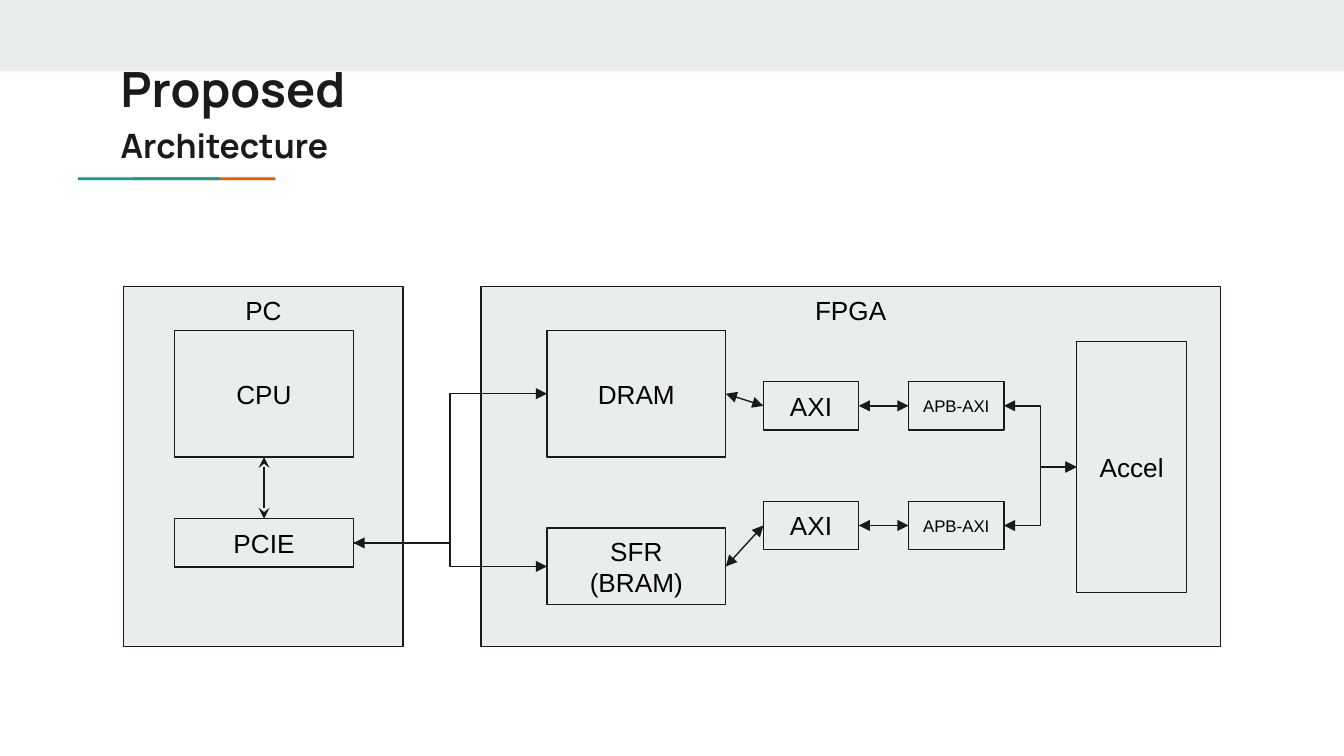
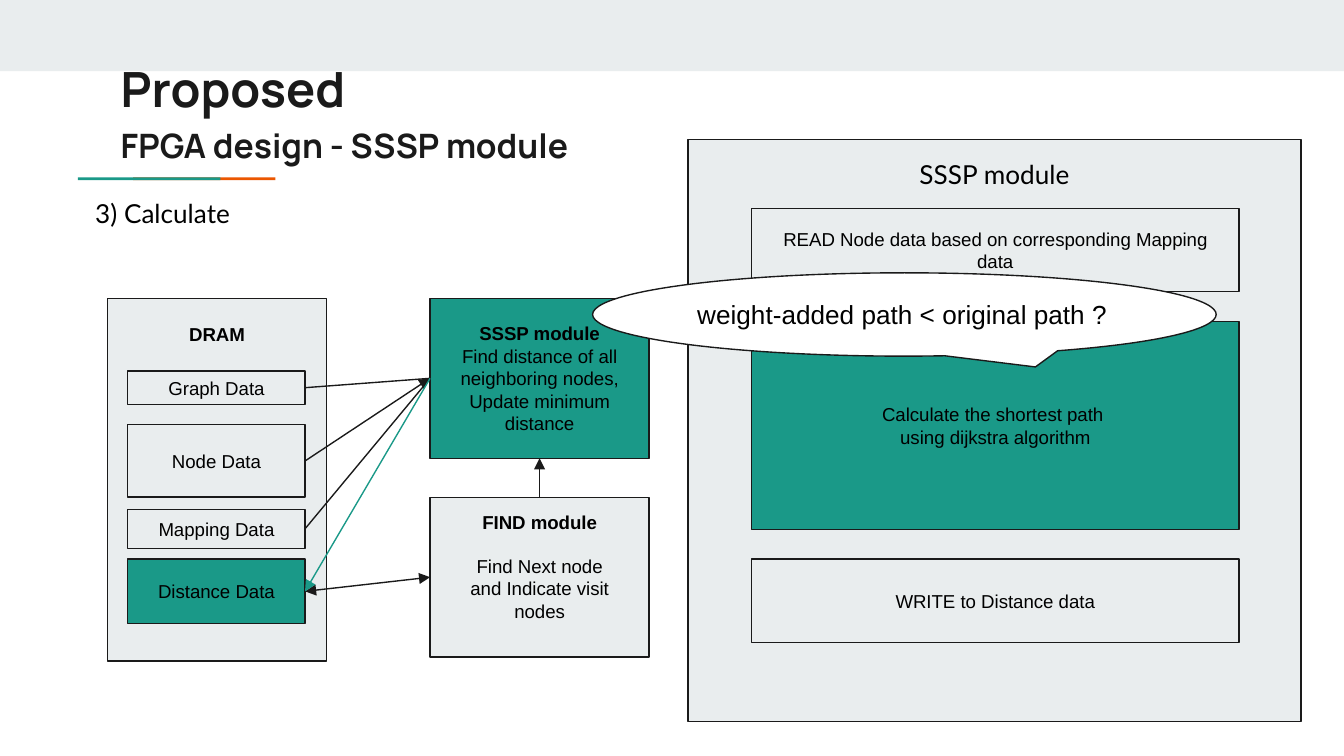
from lxml import etree
from pptx import Presentation, util as u
from pptx.dml import color
from pptx.enum import shapes, text
from pptx.oxml import ns

Inches = u.Inches
COLORS = {"pale": "E9EDEE", "ink": "1A1A1A", "teal": "1A9988",
          "orange": "EB5600", "white": "FFFFFF", "black": "000000"}
MIDDLE, TOP = text.MSO_ANCHOR.MIDDLE, text.MSO_ANCHOR.TOP
CENTER, LEFT = text.PP_ALIGN.CENTER, text.PP_ALIGN.LEFT
SIDES = {"top": 0, "left": 1, "bottom": 2, "right": 3}
TITLE = {"size": 26, "name": "Manrope", "bold": True, "color": "ink"}
SUBTITLE = {**TITLE, "size": 18}
HEADING = {"size": 14, "name": "Lato"}

# Architecture: panels are (name, box, top inset, font), blocks are (name, lines, box, size)
ARCH_PANELS = [
    ("PC", (0.92, 2.13, 2.08, 2.68), 0.06, {"size": 14}),
    ("FPGA", (3.58, 2.13, 5.5, 2.68), 0.06, {"size": 14}),
]
ARCH_BLOCKS = [
    ("CPU", ["CPU"], (1.3, 2.46, 1.33, 0.94), 14),
    ("PCIE", ["PCIE"], (1.3, 3.86, 1.33, 0.36), 14),
    ("DRAM", ["DRAM"], (4.07, 2.46, 1.33, 0.94), 14),
    ("SFR", ["SFR", "(BRAM)"], (4.07, 3.93, 1.33, 0.57), 14),
    ("Accel", ["Accel"], (8.01, 2.54, 0.82, 1.87), 14),
]
BUS_ROWS = [("DRAM", 2.84), ("SFR", 3.73)]
BUS_COLUMNS = [("AXI", 5.68, 14), ("APB-AXI", 6.76, 9)]
BUS_SIZE = (0.71, 0.36)

# SSSP design
SSSP_PANELS = [
    ("DRAM", (0.8, 2.22, 1.63, 2.7), 0.18, {"size": 10, "bold": True}),
    ("SSSP module", (5.12, 1.04, 4.56, 4.33), 0.14, HEADING),
]
DATA_LEFT, DATA_WIDTH = 0.95, 1.32
DATA_BLOCKS = [  # name, top, height, fill
    ("Graph Data", 2.76, 0.25, "pale"),
    ("Node Data", 3.16, 0.54, "pale"),
    ("Mapping Data", 3.79, 0.29, "pale"),
    ("Distance Data", 4.16, 0.48, "teal"),
]
STEP_LEFT, STEP_WIDTH = 5.59, 3.63
STEPS = [  # lines, top, height, fill
    (["READ Node data based on corresponding Mapping data"], 1.55, 0.62, "pale"),
    (["Calculate the shortest path ", "using dijkstra algorithm"], 2.39, 1.55, "teal"),
    (["WRITE to Distance data"], 4.16, 0.62, "pale"),
]
MODULES = [  # name, lines, top, fill, anchor, gap below the name in points
    ("SSSP module", ["Find distance of all neighboring nodes,", "Update minimum distance"],
     2.22, "teal", MIDDLE, 0),
    ("FIND module", ["Find Next node", "and Indicate visit nodes"], 3.7, "pale", TOP, 11.5),
]


def rgb(name):
    return color.RGBColor.from_string(COLORS[name])


def write(shape, lines, fonts, align=LEFT, anchor=TOP, top_inset=0.1):
    """Fill a shape with paragraphs; fonts holds one format dict per line."""
    frame = shape.text_frame
    settings = {"word_wrap": True, "vertical_anchor": anchor, "margin_top": Inches(top_inset)}
    settings.update({f"margin_{side}": Inches(0.1) for side in ("left", "right", "bottom")})
    for name, value in settings.items():
        setattr(frame, name, value)
    for index, (line, font) in enumerate(zip(lines, fonts)):
        paragraph = frame.paragraphs[0] if index == 0 else frame.add_paragraph()
        paragraph.alignment = align
        run = paragraph.add_run()
        run.text = line
        values = {"name": "Arial", "bold": False, "color": "black", **font}
        run.font.color.rgb = rgb(values.pop("color"))
        values["size"] = u.Pt(values["size"])
        for name, value in values.items():
            setattr(run.font, name, value)


def add_text(slide, box, line, font):
    write(slide.shapes.add_textbox(*map(Inches, box)), [line], [font])


def add_block(slide, box, fill="pale", line="ink", kind=shapes.MSO_SHAPE.RECTANGLE):
    shape = slide.shapes.add_shape(kind, *map(Inches, box))
    shape.shadow.inherit = False
    shape.fill.solid()
    shape.fill.fore_color.rgb = rgb(fill)
    if line:
        shape.line.color.rgb = rgb(line)
        shape.line.width = u.Pt(0.75)
    else:
        shape.line.fill.background()
    return shape


def add_label_block(slide, box, lines, size, fill="pale"):
    shape = add_block(slide, box, fill)
    write(shape, lines, [{"size": size}] * len(lines), CENTER, MIDDLE)
    return shape


def add_panels(slide, panels):
    for name, box, top_inset, font in panels:
        write(add_block(slide, box), [name], [font], CENTER, TOP, top_inset)


def connect(slide, start, start_side, end, end_side, head=None, tail="triangle",
            line="ink", kind=shapes.MSO_CONNECTOR.STRAIGHT):
    connector = slide.shapes.add_connector(kind, 0, 0, 0, 0)
    connector.begin_connect(start, SIDES[start_side])
    connector.end_connect(end, SIDES[end_side])
    connector.line.color.rgb = rgb(line)
    connector.line.width = u.Pt(0.75)
    outline = connector.line._get_or_add_ln()
    for tag, arrow in (("a:headEnd", head), ("a:tailEnd", tail)):
        if arrow:
            etree.SubElement(outline, ns.qn(tag), type=arrow)
    etree.SubElement(connector._element.spPr, ns.qn("a:effectLst"))


def add_slide(presentation, subtitle):
    """Blank slide with the top band, two-colour rule and titles."""
    slide = presentation.slides.add_slide(presentation.slide_layouts[6])
    add_block(slide, (0, 0, 10, 0.53), "pale", None)
    for left, fill in ((0.99, "orange"), (0.58, "teal")):
        add_block(slide, (left, 1.32, 1.06, 0.02), fill, None)
    add_text(slide, (0.8, 0.34, 8.41, 0.62), "Proposed", TITLE)
    add_text(slide, (0.8, 0.83, 8.41, 0.7), subtitle, SUBTITLE)
    return slide


def build_architecture(presentation):
    slide = add_slide(presentation, "Architecture")
    add_panels(slide, ARCH_PANELS)
    blocks = {name: add_label_block(slide, box, lines, size)
              for name, lines, box, size in ARCH_BLOCKS}
    elbow = shapes.MSO_CONNECTOR.ELBOW

    # Host links
    connect(slide, blocks["CPU"], "bottom", blocks["PCIE"], "top", "stealth", "stealth")
    for memory, head in (("DRAM", None), ("SFR", "triangle")):
        connect(slide, blocks["PCIE"], "right", blocks[memory], "left", head, kind=elbow)

    # One bus row from each memory to the accelerator
    for memory, top in BUS_ROWS:
        previous = blocks[memory]
        for name, left, size in BUS_COLUMNS:
            block = add_label_block(slide, (left, top, *BUS_SIZE), [name], size)
            connect(slide, previous, "right", block, "left", "triangle")
            previous = block
        connect(slide, previous, "right", blocks["Accel"], "left", "triangle", kind=elbow)


def build_sssp(presentation):
    slide = add_slide(presentation, "FPGA design - SSSP module")
    add_panels(slide, SSSP_PANELS)
    add_text(slide, (0.61, 1.37, 6.82, 0.8), "3) Calculate", HEADING)

    # Memory contents, modules and steps
    data = {name: add_label_block(slide, (DATA_LEFT, top, DATA_WIDTH, height), [name], 10, fill)
            for name, top, height, fill in DATA_BLOCKS}
    modules = {}
    for name, lines, top, fill, anchor, gap in MODULES:
        shape = add_block(slide, (3.2, top, 1.63, 1.19), fill)
        fonts = [{"size": 10, "bold": True}] + [{"size": 10}] * len(lines)
        write(shape, [name, *lines], fonts, CENTER, anchor)
        shape.text_frame.paragraphs[1].space_before = u.Pt(gap)
        modules[name] = shape
    for lines, top, height, fill in STEPS:
        add_label_block(slide, (STEP_LEFT, top, STEP_WIDTH, height), lines, 10, fill)

    # Data flow
    sssp, find, distance = modules["SSSP module"], modules["FIND module"], data["Distance Data"]
    for name, tail in (("Graph Data", None), ("Node Data", "triangle"), ("Mapping Data", None)):
        connect(slide, data[name], "right", sssp, "left", tail=tail)
    connect(slide, find, "top", sssp, "bottom")
    connect(slide, find, "left", distance, "right", "triangle")
    connect(slide, sssp, "left", distance, "right", line="teal")

    # Question callout
    callout = add_block(slide, (4.41, 2.03, 4.64, 0.62), "white",
                        kind=shapes.MSO_SHAPE.OVAL_CALLOUT)
    callout.adjustments[0], callout.adjustments[1] = 0.21, 0.63
    write(callout, ["weight-added path < original path ?"], [{"size": 14}])


def main():
    presentation = Presentation()
    presentation.slide_width = Inches(10)
    presentation.slide_height = presentation.slide_width * 9 // 16
    build_architecture(presentation)
    build_sssp(presentation)
    presentation.save("out.pptx")


if __name__ == "__main__":
    main()
